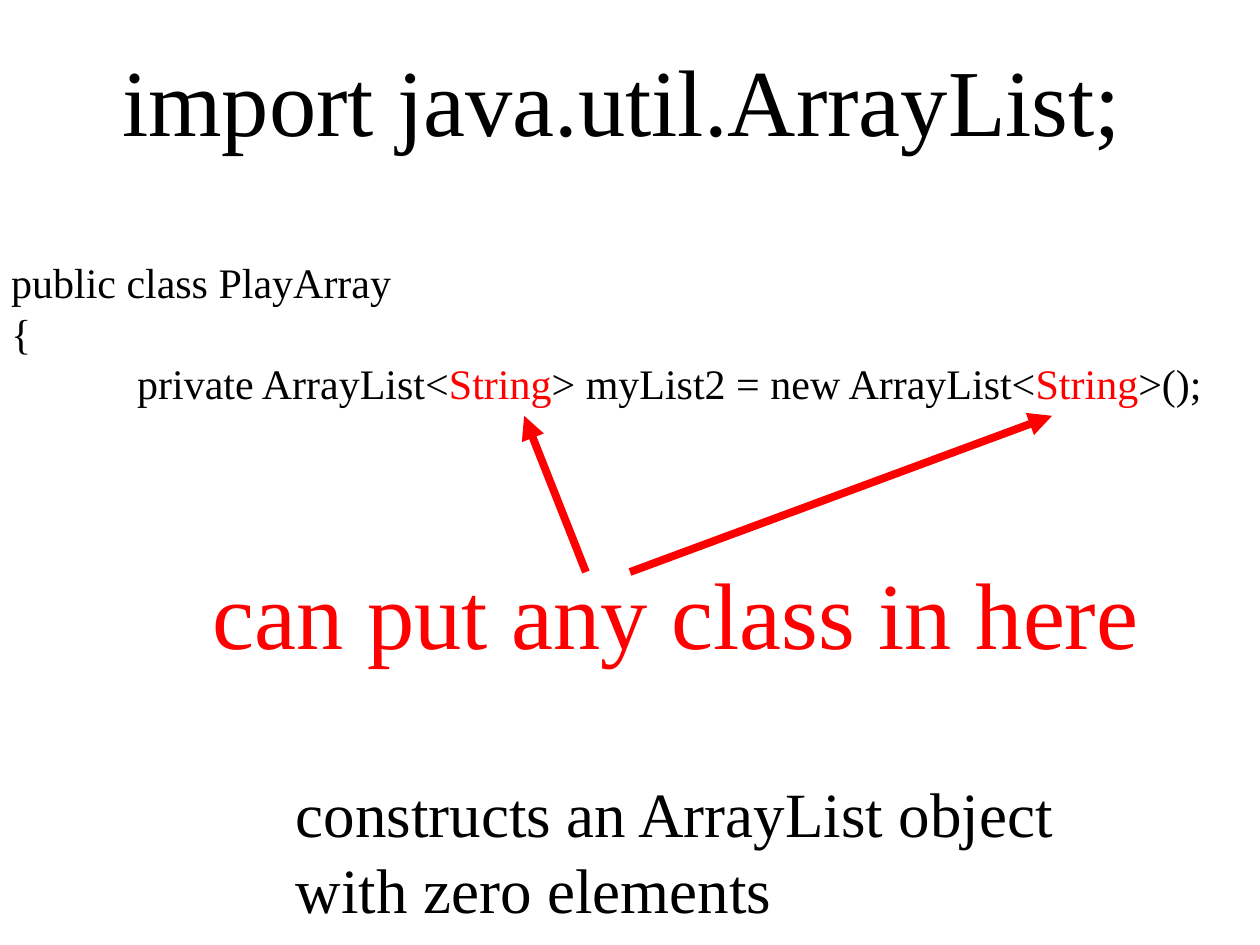
"""Build a slide on constructing a typed ArrayList in Java."""
from lxml import etree
from pptx import Presentation
from pptx import util as u
from pptx.dml.color import RGBColor
from pptx.enum import shapes, text
from pptx.oxml.ns import qn

FONT, BLACK, RED = "Times New Roman", "000000", "FF0000"
WIDTH, HEIGHT = 10, 7.5
INDENT = 1

HEADING = [[("import java.util.ArrayList;", BLACK)]]
CODE = [
    [("public class PlayArray", BLACK)],
    [("{", BLACK)],
    [("\tprivate ArrayList<", BLACK), ("String", RED),
     ("> myList2 = new ArrayList<", BLACK), ("String", RED), (">();", BLACK)],
]
RESULT = [
    [("constructs an ArrayList object", BLACK)],
    [("with zero elements", BLACK)],
]
HINT = [[("can put any class in here", RED)]]

HEADING_BOX = (0.87, 0.28, 8.3, 1)
BLOCKS = [
    (CODE, 24, (-0.01, 1.99, 9.68, 1.3)),
    (RESULT, 36, (2.25, 6.1, 6.24, 1.3)),
    (HINT, 54, (1.59, 4.36, 7.55, 1)),
]
ARROW_BASE, ARROW_TIP = 4.54, 3.3
ARROWS = [(4.65, 4.16), (5, 8.35)]


def color(value):
    return RGBColor.from_string(value)


def write(block, paragraphs, size, box):
    block.left, block.top, block.width, block.height = map(u.Inches, box)
    frame = block.text_frame
    frame.word_wrap = False
    frame.auto_size = text.MSO_AUTO_SIZE.NONE
    frame.vertical_anchor = text.MSO_ANCHOR.TOP
    for index, runs in enumerate(paragraphs):
        line = frame.add_paragraph() if index else frame.paragraphs[0]
        line.alignment = text.PP_ALIGN.LEFT
        tabs = etree.SubElement(line._p.get_or_add_pPr(), qn("a:tabLst"))
        etree.SubElement(tabs, qn("a:tab"), pos=str(u.Inches(INDENT)), algn="l")
        for words, shade in runs:
            run = line.add_run()
            run.text = words
            run.font.name, run.font.size = FONT, u.Pt(size)
            run.font.color.rgb = color(shade)


def point(slide, start, end):
    arrow = slide.shapes.add_connector(
        shapes.MSO_CONNECTOR.STRAIGHT,
        *map(u.Inches, (start, ARROW_BASE, end, ARROW_TIP)))
    arrow.line.color.rgb = color(RED)
    arrow.line.width = u.Pt(4.5)
    etree.SubElement(arrow.line._get_or_add_ln(), qn("a:tailEnd"), type="triangle")
    etree.SubElement(arrow._element.spPr, qn("a:effectLst"))


def main():
    deck = Presentation()
    deck.slide_width, deck.slide_height = u.Inches(WIDTH), u.Inches(HEIGHT)
    slide = deck.slides.add_slide(deck.slide_layouts[5])
    write(slide.shapes.title, HEADING, 54, HEADING_BOX)
    for paragraphs, size, box in BLOCKS:
        write(slide.shapes.add_textbox(0, 0, 0, 0), paragraphs, size, box)
    for start, end in ARROWS:
        point(slide, start, end)
    deck.save("out.pptx")


if __name__ == "__main__":
    main()
